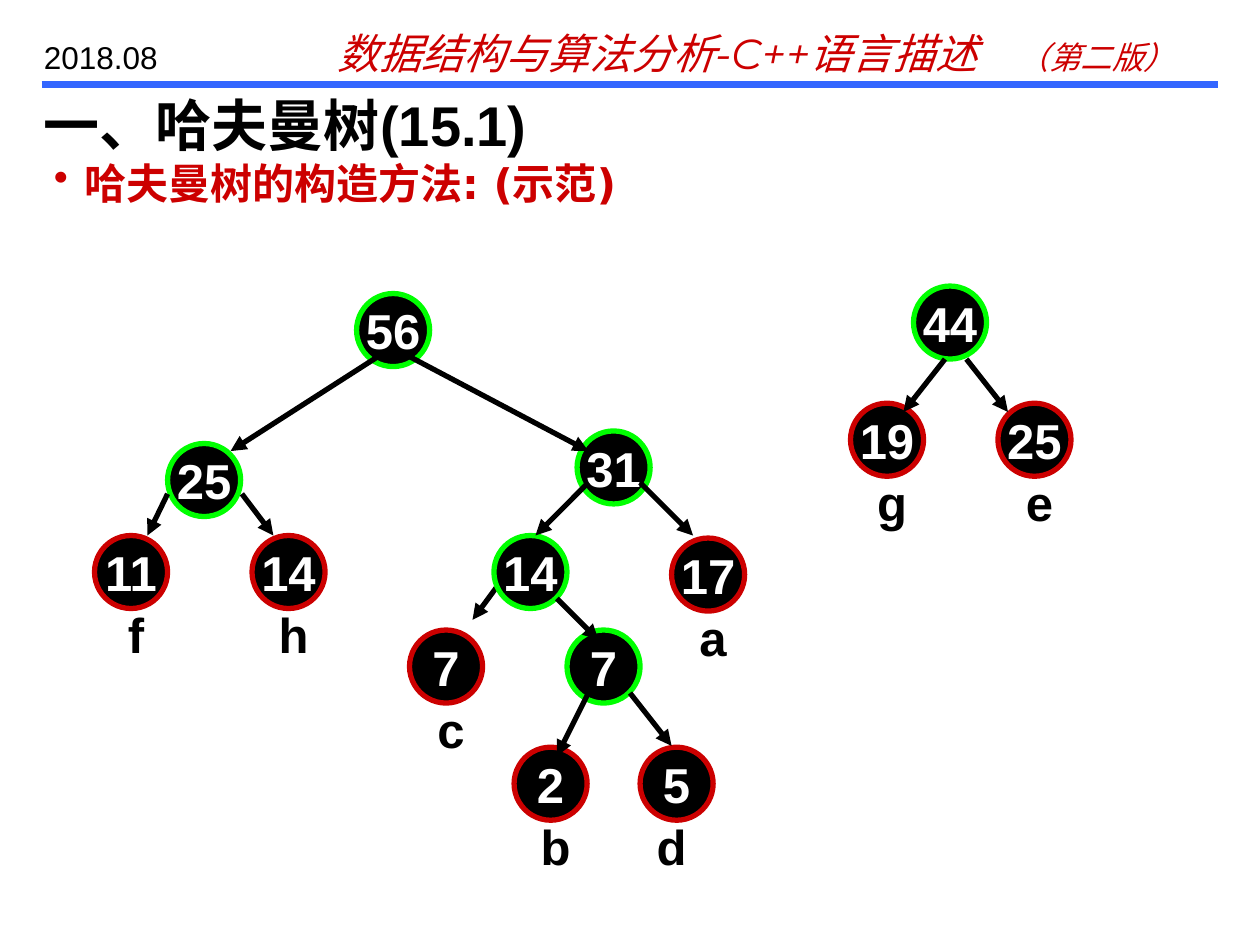
from dataclasses import dataclass

from lxml.etree import SubElement
from pptx import Presentation
from pptx.dml.color import RGBColor
from pptx.enum.shapes import MSO_CONNECTOR as Connector, MSO_SHAPE as Shape
from pptx.enum.text import MSO_ANCHOR as Anchor, PP_ALIGN as Align
from pptx.oxml.ns import qn
from pptx.util import Inches, Pt


@dataclass(frozen=True)
class Theme:
    black: str = "000000"
    white: str = "FFFFFF"
    red: str = "CC0000"
    green: str = "00FF00"
    blue: str = "3366FF"
    font: str = "Arial"
    header_font: str = "Montserrat"
    bullet_font: str = "DejaVu Sans"
    title_size: int = 32
    node_size: int = 28
    heading_size: int = 24
    small_size: int = 18
    rule_width: int = 4
    line_width: int = 3


def color(value):
    return RGBColor.from_string(value)


def add_text(paragraph, text, *, size, ink, font, bold=False, italic=False):
    run = paragraph.add_run()
    run.text = text
    run.font.size = Pt(size)
    run.font.name = font
    run.font.bold = bold
    run.font.italic = italic
    run.font.color.rgb = color(ink)


class TreeSlide:
    DIAMETER = 0.58
    LABEL_DROP = 0.5

    def __init__(self, slide, theme):
        self.slide = slide
        self.theme = theme

    def text_box(self, left, top, width, height, align=Align.LEFT):
        shape = self.slide.shapes.add_textbox(
            Inches(left), Inches(top), Inches(width), Inches(height))
        shape.text_frame.word_wrap = True
        paragraph = shape.text_frame.paragraphs[0]
        paragraph.alignment = align
        return paragraph

    def bullet(self, paragraph, ink, indent):
        properties = paragraph._p.get_or_add_pPr()
        properties.set("marL", str(Inches(indent)))
        properties.set("indent", str(-Inches(indent)))
        bullet_color = SubElement(properties, qn("a:buClr"))
        SubElement(bullet_color, qn("a:srgbClr"), val=ink)
        SubElement(properties, qn("a:buChar"), char="•")

    def tab_stop(self, paragraph, position):
        tabs = SubElement(paragraph._p.get_or_add_pPr(), qn("a:tabLst"))
        SubElement(tabs, qn("a:tab"), pos=str(Inches(position)), algn="l")

    def line(self, x1, y1, x2, y2, ink, width, arrow=False):
        connector = self.slide.shapes.add_connector(
            Connector.STRAIGHT, Inches(x1), Inches(y1), Inches(x2), Inches(y2))
        connector.line.color.rgb = color(ink)
        connector.line.width = Pt(width)
        if arrow:
            SubElement(connector.line._get_or_add_ln(), qn("a:tailEnd"), type="triangle")
        SubElement(connector._element.spPr, qn("a:effectLst"))

    def edge(self, x1, y1, x2, y2):
        self.line(x1, y1, x2, y2, self.theme.black, self.theme.line_width, arrow=True)

    def node(self, weight, left, top, ring):
        theme = self.theme
        shape = self.slide.shapes.add_shape(
            Shape.OVAL, Inches(left), Inches(top),
            Inches(self.DIAMETER), Inches(self.DIAMETER))
        shape.shadow.inherit = False
        shape.fill.solid()
        shape.fill.fore_color.rgb = color(theme.black)
        shape.line.color.rgb = color(ring)
        shape.line.width = Pt(theme.line_width)
        frame = shape.text_frame
        frame.word_wrap = False
        frame.vertical_anchor = Anchor.MIDDLE
        paragraph = frame.paragraphs[0]
        paragraph.alignment = Align.CENTER
        add_text(paragraph, str(weight), size=theme.node_size,
                 ink=theme.white, font=theme.font, bold=True)

    def leaf(self, weight, left, top, letter, label_shift=0.08):
        theme = self.theme
        self.node(weight, left, top, theme.red)
        paragraph = self.text_box(left + label_shift, top + self.LABEL_DROP,
                                  0.5, 0.57, Align.CENTER)
        add_text(paragraph, letter, size=theme.node_size,
                 ink=theme.black, font=theme.font, bold=True)


def main():
    presentation = Presentation()
    presentation.slide_width = Inches(10)
    presentation.slide_height = Inches(7.5)
    theme = Theme()
    page = TreeSlide(presentation.slides.add_slide(presentation.slide_layouts[6]), theme)

    # Header
    page.line(0.33, 0.67, 9.67, 0.67, theme.blue, theme.rule_width)
    header = page.text_box(2.58, 0.17, 7, 0.5)
    page.tab_stop(header, 5.4)
    header_style = dict(ink=theme.red, font=theme.header_font, italic=True)
    add_text(header, "数据结构与算法分析-C++语言描述\t", size=theme.heading_size, **header_style)
    add_text(header, "（第二版）", size=theme.small_size, **header_style)
    add_text(page.text_box(0.25, 0.25, 1.42, 0.4), "2018.08",
             size=theme.small_size, ink=theme.black, font=theme.font)

    # Title and bullet
    add_text(page.text_box(0.25, 0.67, 9.75, 0.5), "一、哈夫曼树(15.1)",
             size=theme.title_size, ink=theme.black, font=theme.font, bold=True)
    topic = page.text_box(0.33, 1.2, 9.42, 0.5)
    page.bullet(topic, theme.red, 0.24)
    add_text(topic, "哈夫曼树的构造方法: (示范)", size=theme.heading_size,
             ink=theme.red, font=theme.bullet_font, bold=True)

    # This edge starts beneath its parent node
    page.edge(4, 4.58, 3.75, 4.92)

    # Leaves: weight, left, top, letter
    for leaf in [(25, 7.92, 3.2, "e"), (19, 6.75, 3.2, "g"),
                 (7, 3.25, 5, "c"), (2, 4.08, 5.93, "b"), (5, 5.08, 5.93, "d", 0),
                 (17, 5.33, 4.27, "a"), (11, 0.75, 4.25, "f"), (14, 2, 4.25, "h")]:
        page.leaf(*leaf)

    # Merged nodes: weight, left, top
    for merged in [(44, 7.25, 2.27), (7, 4.5, 5), (14, 3.92, 4.25),
                   (31, 4.58, 3.42), (25, 1.33, 3.52), (56, 2.83, 2.33)]:
        page.node(*merged, ring=theme.green)

    # Edges from parent to child
    for edge in [(7.5, 2.85, 7.17, 3.27), (7.67, 2.85, 8, 3.27),
                 (4.67, 5.5, 4.42, 6), (5, 5.5, 5.33, 5.92),
                 (4.42, 4.75, 4.75, 5.08),
                 (4.67, 3.83, 4.25, 4.25), (5.08, 3.83, 5.5, 4.25),
                 (1.33, 3.92, 1.17, 4.25), (1.92, 3.92, 2.17, 4.25),
                 (3, 2.83, 1.83, 3.58), (3.25, 2.83, 4.67, 3.58)]:
        page.edge(*edge)

    presentation.save("out.pptx")


if __name__ == "__main__":
    main()
